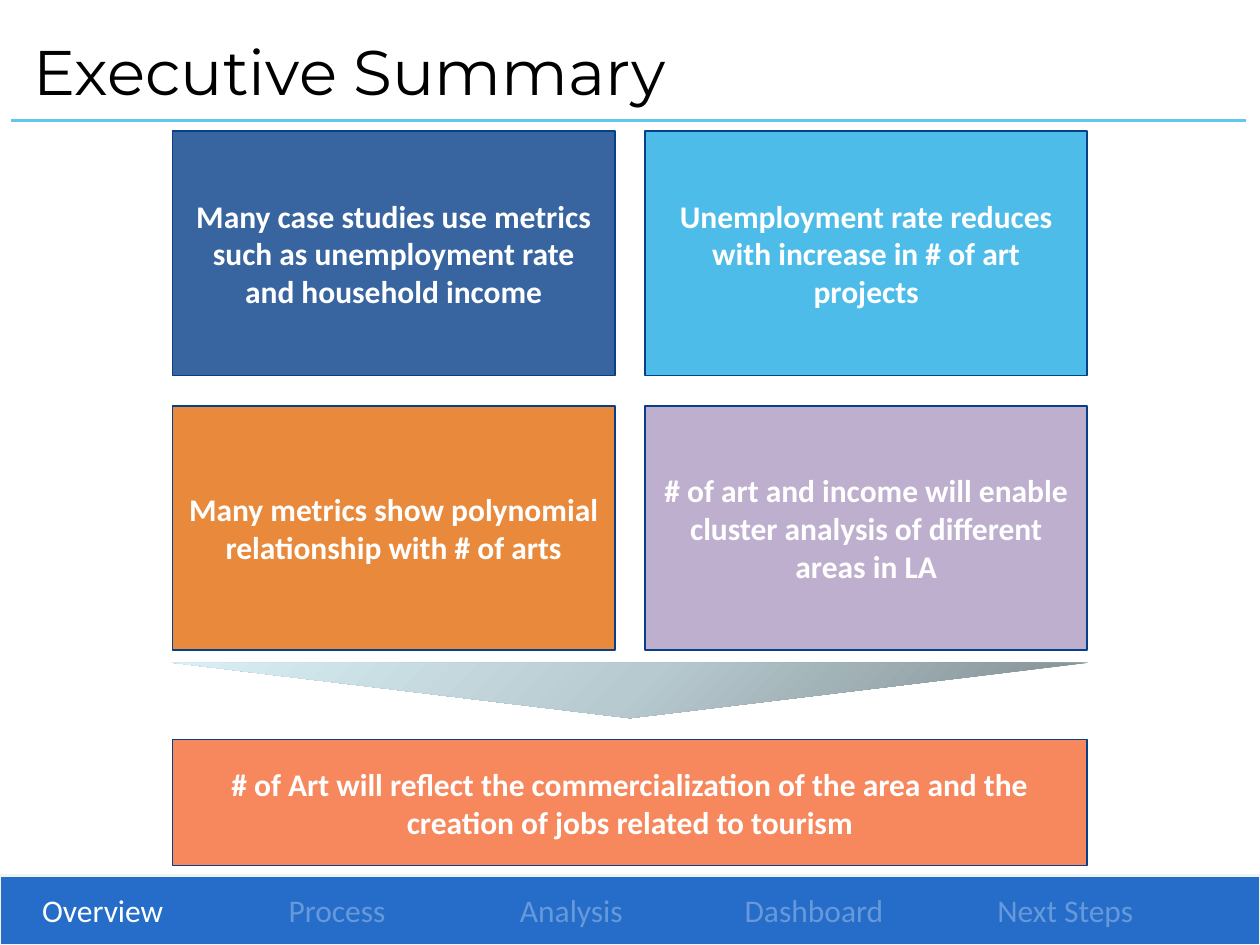
"""Build the Executive Summary slide with four findings, a conclusion and a navigation bar."""
from typing import NamedTuple

from lxml.etree import SubElement
from pptx import Presentation
from pptx.dml.color import RGBColor
from pptx.enum.shapes import MSO_CONNECTOR, MSO_SHAPE
from pptx.enum.text import MSO_ANCHOR as ANCHOR, PP_ALIGN as ALIGN
from pptx.oxml.ns import qn
from pptx.util import Inches, Pt

WHITE = RGBColor(0xFF, 0xFF, 0xFF)
BLACK = RGBColor(0, 0, 0)
NAVY = RGBColor(0x07, 0x3F, 0x89)
SKY = RGBColor(0x22, 0xAC, 0xE4)
ORANGE = RGBColor(0xE4, 0x6C, 0x0A)
PURPLE = RGBColor(0xB3, 0xA2, 0xC7)
CORAL = RGBColor(0xF5, 0x6A, 0x34)
BAR_BLUE = RGBColor(0x25, 0x6D, 0xC9)
BAR_EDGE = RGBColor(0xF2, 0xF2, 0xF2)
RULE_BLUE = RGBColor(0x61, 0xC7, 0xEC)
ARROW_STOPS = ((0, RGBColor(0x81, 0x8E, 0x91)), (50, RGBColor(0xB7, 0xCA, 0xCF)),
               (100, RGBColor(0xD9, 0xEF, 0xF5)))

LEFT, TOP = 1.37, 1.04
CARD_W, CARD_H = 3.51, 1.94
GAP = 0.24
FULL_W = 2 * CARD_W + GAP


class Card(NamedTuple):
    text: str
    color: RGBColor
    opacity: int


class NavItem(NamedTuple):
    text: str
    left: float
    width: float
    opacity: int = 30


CARDS = (
    Card("Many case studies use metrics such as unemployment rate and household income", NAVY, 80),
    Card("Unemployment rate reduces with increase in # of art projects", SKY, 80),
    Card("Many metrics show polynomial relationship with # of arts", ORANGE, 80),
    Card("# of art and income will enable cluster analysis of different areas in LA", PURPLE, 85),
)
CONCLUSION = Card("# of Art will reflect the commercialization of the area "
                  "and the creation of jobs related to tourism", CORAL, 80)
NAV = (
    NavItem("Overview", 0.19, 1.25, 100),
    NavItem("Process", 2.05, 1.25),
    NavItem("Analysis", 3.91, 1.25),
    NavItem("Dashboard", 5.77, 1.38),
    NavItem("Next Steps", 7.76, 1.39),
)


def set_opacity(element, percent: int) -> None:
    if percent < 100:
        color = next(element.iter(qn("a:srgbClr")))
        SubElement(color, qn("a:alpha")).set("val", str(percent * 1000))


def write(sp, text: str, size: int, font: str, color: RGBColor,
          align: ALIGN, anchor: ANCHOR):
    tf = sp.text_frame
    tf.word_wrap = True
    tf.vertical_anchor = anchor
    p = tf.paragraphs[0]
    p.text = text
    p.alignment = align
    p.font.size = Pt(size)
    p.font.name = font
    p.font.color.rgb = color
    return p


def add_box(s, left: float, top: float, width: float, height: float,
            fill: RGBColor, line: RGBColor, line_width: float):
    sp = s.shapes.add_shape(MSO_SHAPE.RECTANGLE, Inches(left), Inches(top),
                            Inches(width), Inches(height))
    sp.shadow.inherit = False
    sp.fill.solid()
    sp.fill.fore_color.rgb = fill
    sp.line.color.rgb = line
    sp.line.width = Pt(line_width)
    return sp


def add_card(s, card: Card, left: float, top: float, width: float, height: float) -> None:
    sp = add_box(s, left, top, width, height, card.color, NAVY, 1)
    set_opacity(sp._element.spPr, card.opacity)
    p = write(sp, card.text, 18, "Calibri", WHITE, ALIGN.CENTER, ANCHOR.MIDDLE)
    p.font.bold = True


def add_nav_item(s, item: NavItem) -> None:
    sp = s.shapes.add_textbox(Inches(item.left), Inches(7.02), Inches(item.width), Inches(0.4))
    p = write(sp, item.text, 18, "Calibri", WHITE, ALIGN.CENTER, ANCHOR.TOP)
    set_opacity(p._p, item.opacity)


def add_title(s, text: str) -> None:
    sp = s.shapes.add_textbox(Inches(0.17), Inches(0.23), Inches(8.46), Inches(0.73))
    p = write(sp, text, 36, "Montserrat", BLACK, ALIGN.LEFT, ANCHOR.MIDDLE)
    p.line_spacing = 0.9


def add_rule(s) -> None:
    rule = s.shapes.add_connector(MSO_CONNECTOR.STRAIGHT, Inches(0.09), Inches(0.96),
                                  Inches(9.89), Inches(0.96))
    rule.line.color.rgb = RULE_BLUE
    rule.line.width = Pt(1.75)
    SubElement(rule._element.spPr, qn("a:effectLst"))


def add_down_arrow(s) -> None:
    sp = s.shapes.add_shape(MSO_SHAPE.ISOSCELES_TRIANGLE, Inches(LEFT), Inches(5.26),
                            Inches(FULL_W), Inches(0.44))
    sp.rotation = 180
    sp.shadow.inherit = False
    sp.line.fill.background()
    sp.fill.gradient()
    sp.fill.gradient_angle = 315
    stops = next(sp._element.spPr.iter(qn("a:gsLst")))
    for old in list(stops):
        stops.remove(old)
    for position, color in ARROW_STOPS:
        stop = SubElement(stops, qn("a:gs"))
        stop.set("pos", str(position * 1000))
        SubElement(stop, qn("a:srgbClr")).set("val", str(color))


def main() -> None:
    prs = Presentation()
    prs.slide_width, prs.slide_height = Inches(10), Inches(7.5)
    s = prs.slides.add_slide(prs.slide_layouts[6])

    add_box(s, 0, 6.95, 10, 0.55, BAR_BLUE, BAR_EDGE, 1.5)
    for item in NAV:
        add_nav_item(s, item)
    add_rule(s)
    add_title(s, "Executive Summary")

    for i, card in enumerate(CARDS):
        row, col = divmod(i, 2)
        add_card(s, card, LEFT + col * (CARD_W + GAP), TOP + row * (CARD_H + GAP),
                 CARD_W, CARD_H)
    add_card(s, CONCLUSION, LEFT, 5.87, FULL_W, 1)
    add_down_arrow(s)

    prs.save("out.pptx")


if __name__ == "__main__":
    main()
